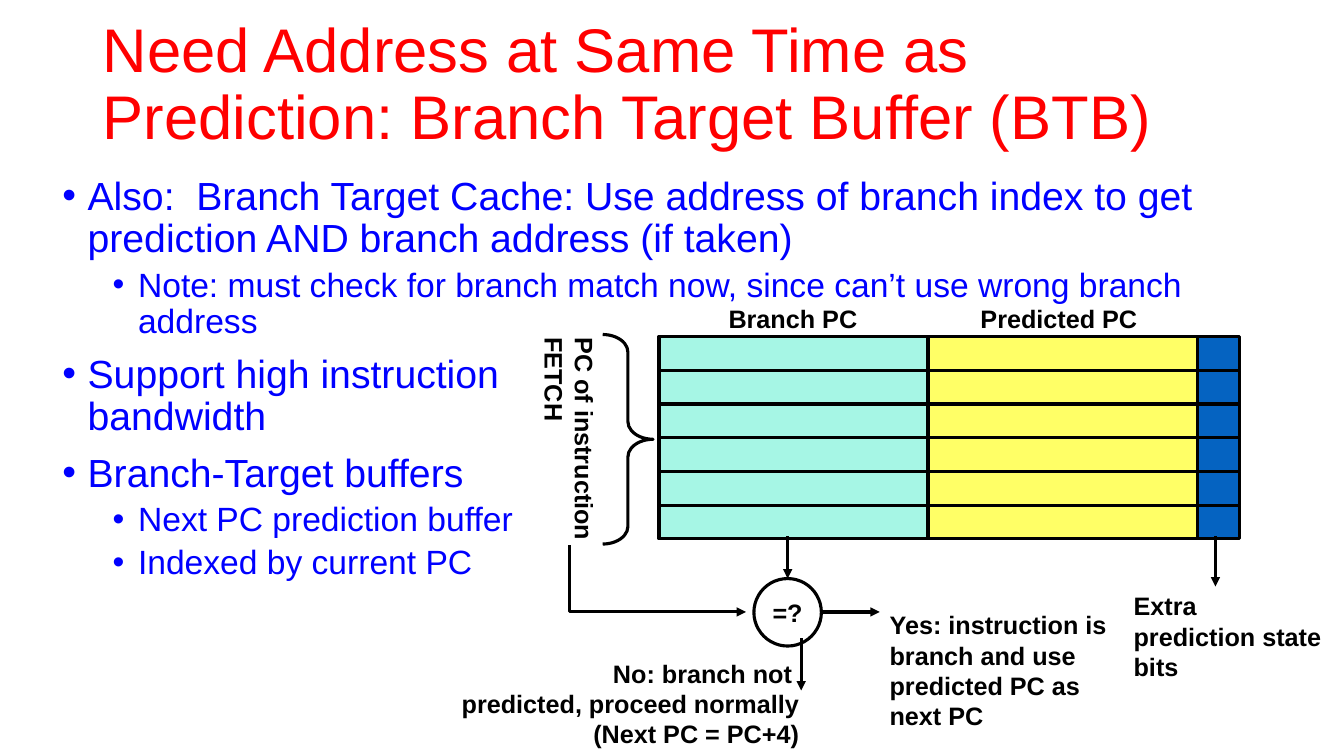
from lxml.etree import SubElement
from pptx import Presentation
from pptx.dml.color import RGBColor
from pptx.enum.shapes import MSO_CONNECTOR, MSO_SHAPE
from pptx.enum.text import MSO_ANCHOR, PP_ALIGN
from pptx.oxml.ns import qn
from pptx.util import Cm, Pt

COLORS = {"title": "FF0000", "body": "0000FF", "ink": "000000",
          "branch": "A6F6E5", "target": "FFFF66", "state": "0563C1"}

TITLE = "Need Address at Same Time as Prediction: Branch Target Buffer (BTB)"
TITLE_BOX = (2.34, 1.02, 29.21, 2.31)
BODY_BOX = (1.32, 4.32, 30.2, 14.2)
BULLETS = [
    (0, "Also:  Branch Target Cache: Use address of branch index to get "
        "prediction AND branch address (if taken)"),
    (1, "Note: must check for branch match now, since can’t use wrong branch address"),
    (0, "Support high instruction \vbandwidth"),
    (0, "Branch-Target buffers"),
    (1, "Next PC prediction buffer"),
    (1, "Indexed by current PC"),
]
# level: (text size, space before, left margin)
LEVELS = {0: (28, 10, 0.64), 1: (24, 5, 1.91)}
HANG = 0.64

GRID_LEFT, GRID_TOP, ROWS, ROW_H = 16.61, 8.48, 6, 0.85
COLUMNS = [("branch", 6.78), ("target", 6.78), ("state", 1.07)]

# box, lines, wrap, alignment, rotation
LABELS = [
    ((18.11, 7.52, 3.78, 1.02), ["Branch PC"], False, "LEFT", 0),
    ((24.46, 7.52, 4.5, 1.02), ["Predicted PC"], False, "LEFT", 0),
    ((11.53, 10.19, 5.66, 1.78), ["PC of instruction", "FETCH"], False, "LEFT", 90),
    ((28.32, 14.76, 5.44, 2.54), ["Extra", "prediction state", "bits"],
     False, "LEFT", 0),
    ((22.17, 15.24, 6.15, 3.3),
     ["Yes: instruction is branch and use predicted PC as next PC"], True, "LEFT", 0),
    ((11.25, 16.46, 9.14, 2.54),
     ["No: branch not ", "predicted, proceed normally", "(Next PC = PC+4)"],
     False, "RIGHT", 0),
]
TEST_BOX, TEST_TEXT = (19, 14.58, 1.7, 1.7), "=?"
BRACE_BOX = (15.19, 8.43, 1.27, 5.28)
ARROWS = [
    (19.85, 13.51, 19.85, 14.58),
    (30.63, 13.51, 30.63, 14.78),
    (20.7, 15.42, 22.17, 15.42),
    (20.19, 16.08, 20.19, 17.4),
]
FETCH = [(14.35, 13.74), (14.35, 15.42), (18.8, 15.42)]


def color(name):
    return RGBColor.from_string(COLORS[name])


def cms(values):
    return [Cm(v) for v in values]


def style(item, **values):
    for key, value in values.items():
        setattr(item, key, value)


def paint(font, name, size, bold=False):
    style(font, name="Arial", size=Pt(size), bold=bold)
    font.color.rgb = color(name)


def outline(shape, fill=None):
    shape.shadow.inherit = False
    if fill:
        shape.fill.solid()
        shape.fill.fore_color.rgb = color(fill)
    else:
        shape.fill.background()
    ink(shape.line)


def ink(line):
    line.color.rgb = color("ink")
    line.width = Pt(2.25)


def point(shape):
    """Put an arrowhead at the end of a line."""
    SubElement(shape.line._get_or_add_ln(), qn("a:tailEnd"), type="triangle")


def write(frame, lines, size, name="ink", bold=True, align="LEFT"):
    frame.text = "\n".join(lines)
    for para in frame.paragraphs:
        para.alignment = getattr(PP_ALIGN, align)
        paint(para.font, name, size, bold)


def add_title(shapes):
    frame = shapes.add_textbox(*cms(TITLE_BOX)).text_frame
    style(frame, word_wrap=True, vertical_anchor=MSO_ANCHOR.MIDDLE)
    write(frame, [TITLE], 44, "title", False)
    frame.paragraphs[0].line_spacing = 0.9


def add_body(shapes):
    frame = shapes.add_textbox(*cms(BODY_BOX)).text_frame
    frame.word_wrap = True
    for i, (level, text) in enumerate(BULLETS):
        size, gap, left = LEVELS[level]
        para = frame.add_paragraph() if i else frame.paragraphs[0]
        style(para, text=text, level=level, line_spacing=0.9,
              space_before=Pt(gap if i else 0))
        props = para._p.get_or_add_pPr()
        props.set("marL", str(Cm(left)))
        props.set("indent", str(-Cm(HANG)))
        SubElement(props, qn("a:buFont"), typeface="Arial")
        SubElement(props, qn("a:buChar"), char="•")
        paint(para.font, "body", size)


def add_grid(shapes):
    for row in range(ROWS):
        left = GRID_LEFT
        for fill, width in COLUMNS:
            box = cms((left, GRID_TOP + row * ROW_H, width, ROW_H))
            outline(shapes.add_shape(MSO_SHAPE.RECTANGLE, *box), fill)
            left += width


def add_labels(shapes):
    for box, lines, wrap, align, turn in LABELS:
        label = shapes.add_textbox(*cms(box))
        label.rotation = turn
        style(label.text_frame, word_wrap=wrap, vertical_anchor=MSO_ANCHOR.MIDDLE)
        write(label.text_frame, lines, 18, align=align)


def add_flow(shapes):
    test = shapes.add_shape(MSO_SHAPE.OVAL, *cms(TEST_BOX))
    outline(test)
    style(test.text_frame, word_wrap=False, vertical_anchor=MSO_ANCHOR.MIDDLE)
    write(test.text_frame, [TEST_TEXT], 18, align="CENTER")

    brace = shapes.add_shape(MSO_SHAPE.RIGHT_BRACE, *cms(BRACE_BOX))
    brace.adjustments[0] = 0.35
    outline(brace)

    start, *rest = [cms(spot) for spot in FETCH]
    trace = shapes.build_freeform(*start)
    trace.add_line_segments(rest, close=False)
    fetch = trace.convert_to_shape()
    outline(fetch)
    point(fetch)

    for ends in ARROWS:
        arrow = shapes.add_connector(MSO_CONNECTOR.STRAIGHT, *cms(ends))
        ink(arrow.line)
        point(arrow)
        SubElement(arrow._element.spPr, qn("a:effectLst"))


def main():
    deck = Presentation()
    style(deck, slide_width=Cm(33.87), slide_height=Cm(19.05))
    shapes = deck.slides.add_slide(deck.slide_layouts[6]).shapes
    for build in (add_title, add_body, add_grid, add_labels, add_flow):
        build(shapes)
    deck.save("out.pptx")


if __name__ == "__main__":
    main()
